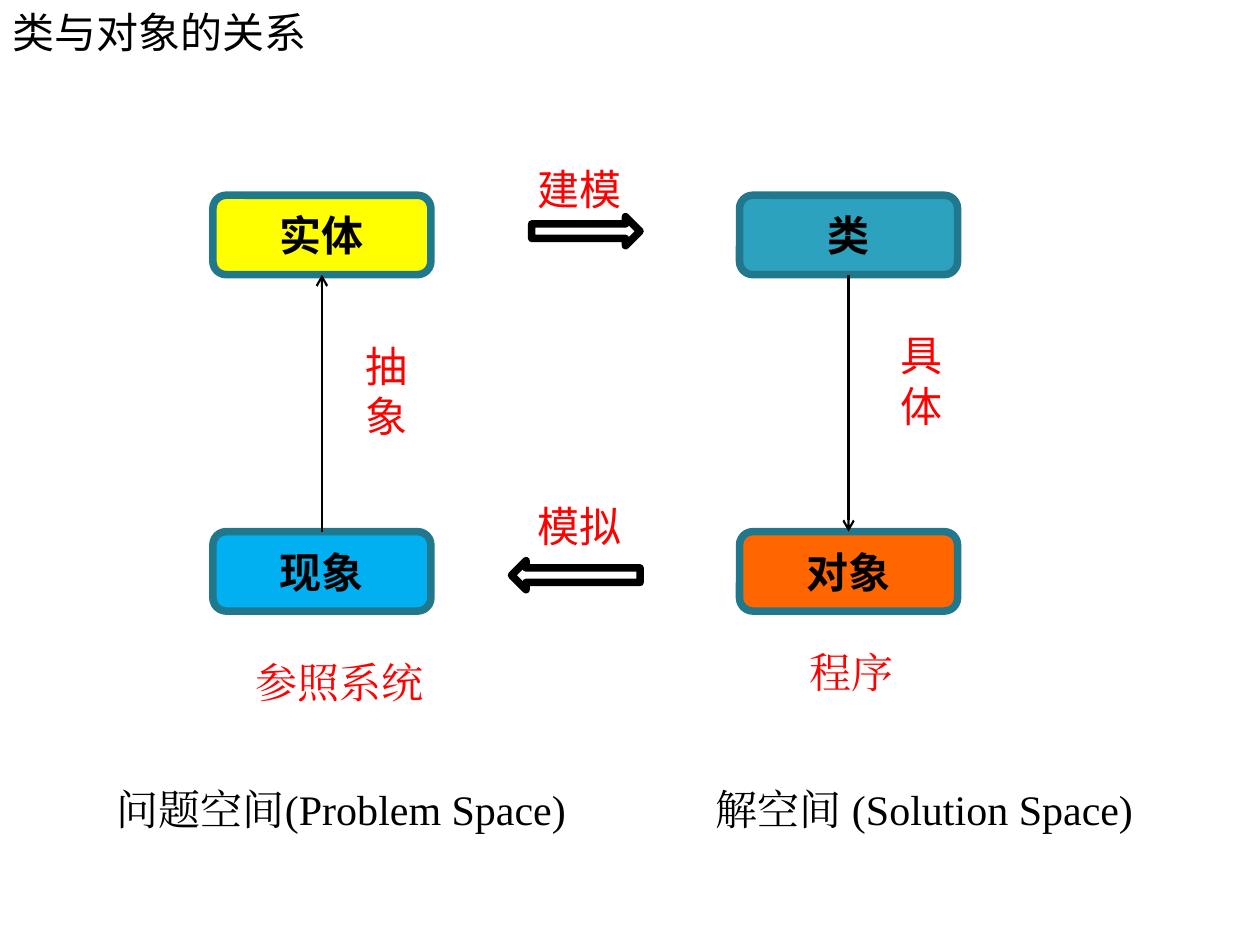
from pptx import Presentation
from pptx.dml.color import RGBColor
from pptx.enum.lang import MSO_LANGUAGE_ID as Language
from pptx.enum.shapes import MSO_CONNECTOR as Connector, MSO_SHAPE as Shape
from pptx.enum.text import MSO_ANCHOR as Anchor, MSO_AUTO_SIZE as AutoSize, PP_ALIGN as Align
from pptx.oxml.ns import qn
from pptx.util import Inches, Pt
from lxml.etree import SubElement

SANS, MONO, SERIF = "Noto Sans CJK SC", "Noto Sans Mono", "Times New Roman"
BLACK, RED, WHITE, TEAL = "000000", "FF0000", "FFFFFF", "21788D"
TOP, LEFT, BOTTOM, RIGHT = range(4)


def color(value):
    return RGBColor.from_string(value)


def write(frame, text, font=SANS, size=24, fill=BLACK, bold=False,
          align=Align.LEFT, anchor=Anchor.TOP, wrap=True):
    frame.word_wrap = wrap
    frame.vertical_anchor = anchor
    paragraph = frame.paragraphs[0]
    paragraph.alignment = align
    run = paragraph.add_run()
    run.text = text
    run.font.name = font
    run.font.size = Pt(size)
    run.font.bold = bold
    run.font.color.rgb = color(fill)
    run.font.language_id = Language.SIMPLIFIED_CHINESE
    SubElement(run.font._element, qn("a:ea"), typeface=font)


class Diagram:
    border = 4.33
    arrow_width = 1.25

    def __init__(self, slide):
        self.slide = slide
        self.shapes = slide.shapes

    def title(self, text, *box):
        title = self.shapes.title
        title.left, title.top, title.width, title.height = map(Inches, box)
        write(title.text_frame, text, wrap=False)
        title.text_frame.auto_size = AutoSize.SHAPE_TO_FIT_TEXT

    def shape(self, kind, box, fill, line):
        shape = self.shapes.add_shape(kind, *map(Inches, box))
        shape.shadow.inherit = False
        shape.fill.solid()
        shape.fill.fore_color.rgb = color(fill)
        shape.line.color.rgb = color(line)
        shape.line.width = Pt(self.border)
        return shape

    def node(self, text, left, top, fill):
        node = self.shape(Shape.FLOWCHART_ALTERNATE_PROCESS,
                          (left, top, 1.73, 0.63), fill, TEAL)
        write(node.text_frame, text, font=MONO, bold=True,
              align=Align.CENTER, anchor=Anchor.MIDDLE)
        return node

    def block_arrow(self, left, top, width, rotation=0):
        arrow = self.shape(Shape.RIGHT_ARROW, (left, top, width, 0.23), WHITE, BLACK)
        arrow.rotation = rotation

    def label(self, text, box, **style):
        label = self.shapes.add_textbox(*map(Inches, box))
        write(label.text_frame, text, **style)
        label.text_frame.auto_size = AutoSize.SHAPE_TO_FIT_TEXT

    def link(self, start, start_side, end, end_side):
        link = self.shapes.add_connector(Connector.STRAIGHT, 0, 0, 0, 0)
        link.begin_connect(start, start_side)
        link.end_connect(end, end_side)
        link.line.color.rgb = color(BLACK)
        link.line.width = Pt(self.arrow_width)
        SubElement(link.line._get_or_add_ln(), qn("a:tailEnd"), type="arrow")
        SubElement(link._element.spPr, qn("a:effectLst"))


def main():
    deck = Presentation()
    deck.slide_width, deck.slide_height = Inches(10), Inches(7.5)
    diagram = Diagram(deck.slides.add_slide(deck.slide_layouts[5]))
    diagram.title("类与对象的关系", 0, 0, 2.56, 0.5)

    problem_x, solution_x = 1.69, 5.87
    upper_y, lower_y = 1.55, 4.22
    entity = diagram.node("实体", problem_x, upper_y, "FFFF00")
    class_node = diagram.node("类", solution_x, upper_y, "2DA2BF")
    phenomenon = diagram.node("现象", problem_x, lower_y, "00B0F0")
    object_node = diagram.node("对象", solution_x, lower_y, "FF6600")

    diagram.link(class_node, BOTTOM, object_node, TOP)
    diagram.link(phenomenon, TOP, entity, BOTTOM)
    diagram.block_arrow(4.22, 1.72, 0.86)
    diagram.block_arrow(4.06, 4.45, 1.02, rotation=180)

    for text, box, font, fill in (
        ("建模", (4.17, 1.25, 1.2, 0.5), SANS, RED),
        ("模拟", (4.17, 3.92, 1.12, 0.5), SANS, RED),
        ("抽象", (2.8, 2.65, 0.79, 0.4), SANS, RED),
        ("具体", (7.05, 2.57, 0.79, 0.4), SANS, RED),
        ("参照系统", (1.93, 5.16, 1.57, 0.4), SERIF, RED),
        ("程序", (6.33, 5.08, 1, 0.5), SERIF, RED),
        ("问题空间(Problem Space)", (0.83, 6.17, 4, 0.5), SERIF, BLACK),
        ("解空间 (Solution Space)", (5.58, 6.17, 3.75, 0.5), SERIF, BLACK),
    ):
        diagram.label(text, box, font=font, fill=fill)

    deck.save("out.pptx")


if __name__ == "__main__":
    main()
